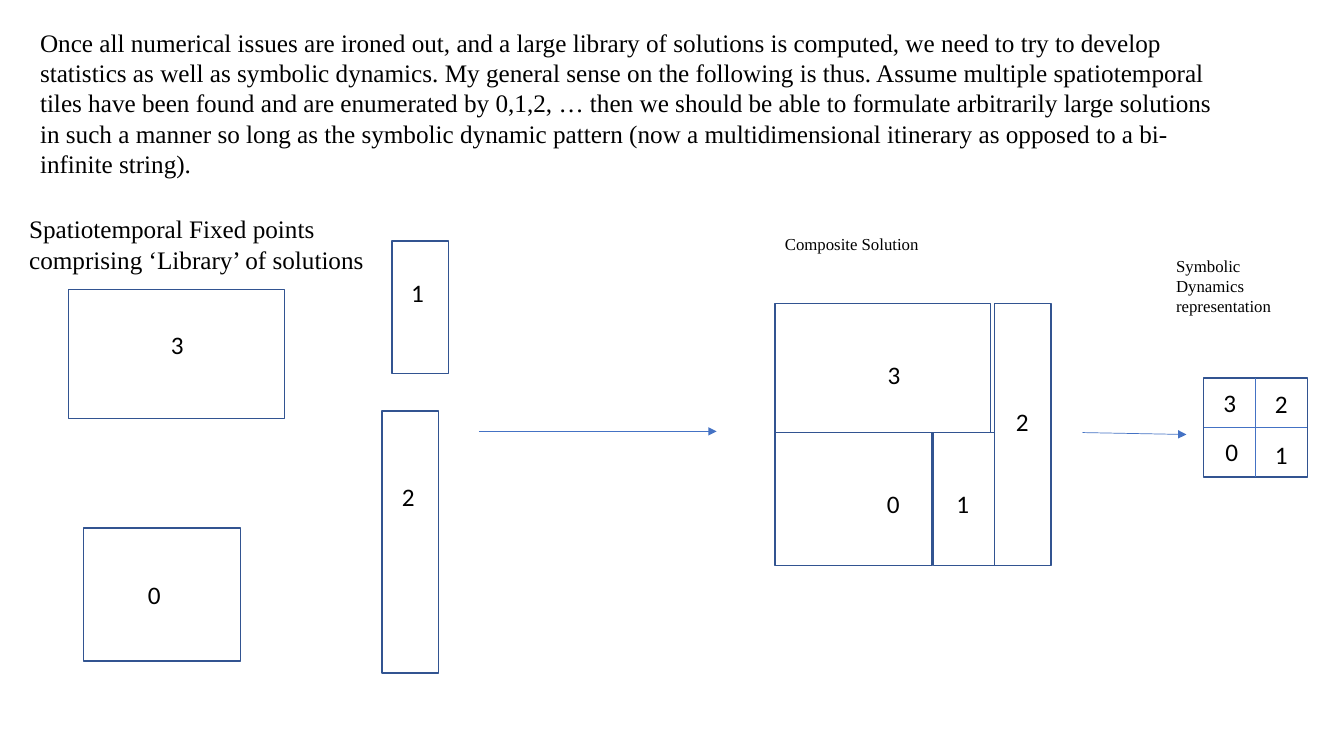
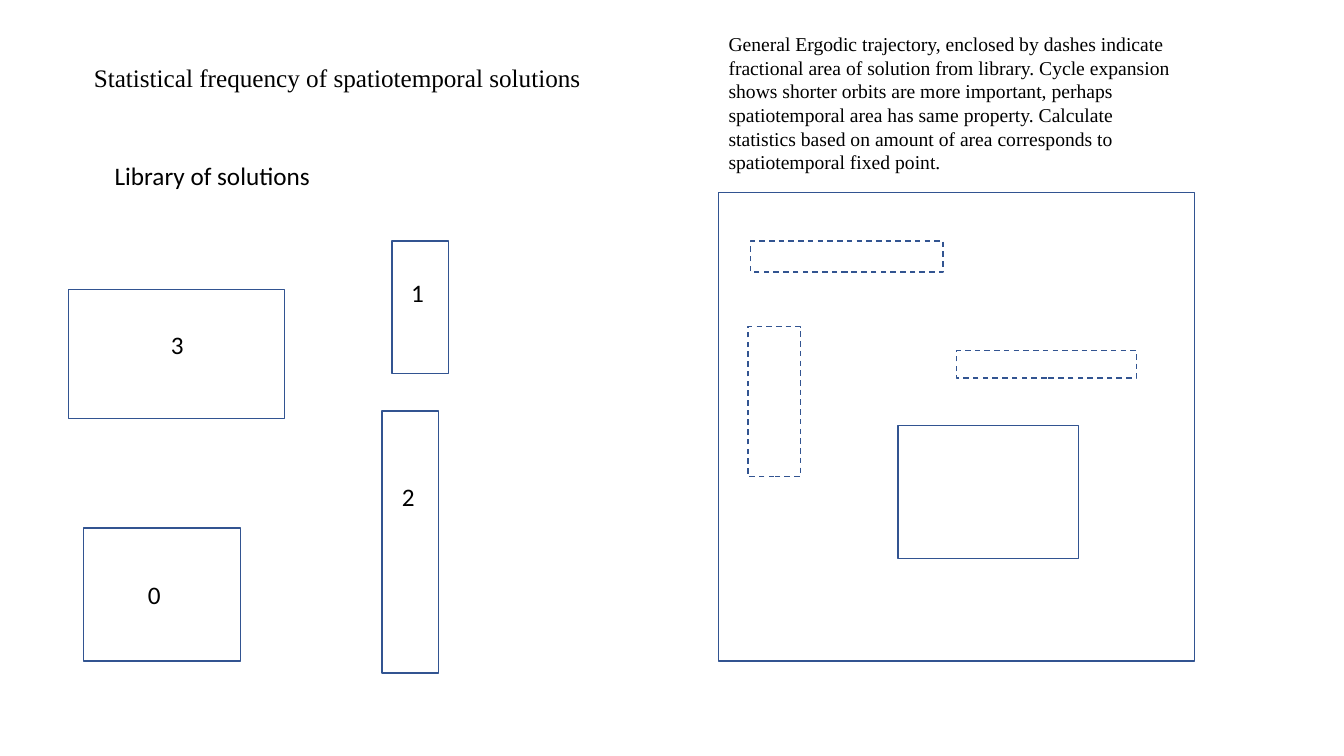
from lxml.etree import SubElement
from pptx import Presentation
from pptx.dml.color import RGBColor
from pptx.enum.dml import MSO_LINE
from pptx.enum.shapes import MSO_CONNECTOR, MSO_SHAPE
from pptx.enum.text import MSO_ANCHOR, MSO_AUTO_SIZE, PP_ALIGN
from pptx.oxml.ns import qn
from pptx.util import Cm, Pt

BLACK = RGBColor(0x00, 0x00, 0x00)
WHITE = RGBColor(0xFF, 0xFF, 0xFF)
EDGE = RGBColor(0x32, 0x54, 0x91)
ARROW = RGBColor(0x44, 0x72, 0xC4)
SERIF, SANS = "Times New Roman", "Calibri"

# Content: boxes are left, top, width, height in cm
INTRO = (
    "Once all numerical issues are ironed out, and a large library of solutions is "
    "computed, we need to try to develop statistics as well as symbolic dynamics. "
    "My general sense on the following is thus. Assume multiple spatiotemporal tiles "
    "have been found and are enumerated by 0,1,2, … then we should be able to "
    "formulate arbitrarily large solutions in such a manner so long as the symbolic "
    "dynamic pattern (now a multidimensional itinerary as opposed to a bi-infinite "
    "string)."
)
LIBRARY_TITLE = "Spatiotemporal Fixed points comprising ‘Library’ of solutions"
STATS_TITLE = "Statistical frequency of spatiotemporal solutions"
ERGODIC = (
    "General Ergodic trajectory, enclosed by dashes indicate fractional area of "
    "solution from library. Cycle expansion shows shorter orbits are more important, "
    "perhaps spatiotemporal area has same property. Calculate statistics based on "
    "amount of area corresponds to spatiotemporal fixed point."
)

SIZES = {"0": (3.96, 3.35), "1": (1.42, 3.35), "2": (1.42, 6.6), "3": (5.44, 3.25)}
# Tile name, corner of the tile, corner of its label
LIBRARY = [
    ("3", (1.73, 7.29), (4.06, 8.18)),
    ("0", (2.11, 13.31), (3.48, 14.48)),
    ("1", (9.88, 6.07), (10.11, 6.86)),
    ("2", (9.63, 10.36), (9.88, 12.01)),
]
COMP_X, COMP_Y = 19.53, 7.65
COMP_RIGHT, COMP_MID = 25.07, COMP_Y + SIZES["3"][1]
TILE_1_X = 23.52
COMPOSITE = [
    ("3", (COMP_X, COMP_Y), (22.12, 8.92)),
    ("2", (COMP_RIGHT, COMP_Y), (25.35, 10.11)),
    ("0", (COMP_X, COMP_MID), (22.1, 12.17)),
    ("1", (TILE_1_X, COMP_MID), (23.85, 12.17)),
]
COMPOSITE_SIZES = {**SIZES, "1": (COMP_RIGHT - TILE_1_X, SIZES["1"][1])}

SYMBOL_GRID = (30.33, 9.53, 2.62, 2.49)
SYMBOLS = [("3", (30.58, 9.63)), ("2", (31.88, 9.65)),
           ("0", (30.63, 10.87)), ("1", (31.88, 10.95))]
ARROWS = [(12.07, 10.87, 18.06, 10.87), (27.28, 10.9, 29.9, 10.95)]

TRAJECTORY = (18.11, 4.85, 11.99, 11.81)
SOLID_AREA = (22.63, 10.72, 4.55, 3.35)
DASHED_AREAS = [(18.85, 8.23, 1.32, 3.78), (24.1, 8.84, 4.55, 0.69),
                (18.92, 6.07, 4.85, 0.79)]


def write(shape, text, font=SERIF, size=18):
    tf = shape.text_frame
    tf.word_wrap = True
    tf.auto_size = MSO_AUTO_SIZE.NONE
    tf.vertical_anchor = MSO_ANCHOR.TOP
    p = tf.paragraphs[0]
    p.alignment = PP_ALIGN.LEFT
    r = p.add_run()
    r.text = text
    r.font.name, r.font.size = font, Pt(size)
    r.font.color.rgb = BLACK


def add_text(s, box, text, **fmt):
    write(s.shapes.add_textbox(*map(Cm, box)), text, **fmt)


def set_title(s, box, text):
    title = s.shapes.title
    title.left, title.top, title.width, title.height = map(Cm, box)
    write(title, text)


def add_rect(s, box, fill=None, dash=None):
    sp = s.shapes.add_shape(MSO_SHAPE.RECTANGLE, *map(Cm, box))
    sp.shadow.inherit = False
    if fill is None:
        sp.fill.background()
    else:
        sp.fill.solid()
        sp.fill.fore_color.rgb = fill
    sp.line.color.rgb = EDGE
    sp.line.width = Pt(1)
    if dash:
        sp.line.dash_style = dash
    return sp


def add_line(s, ends, arrow=False):
    c = s.shapes.add_connector(MSO_CONNECTOR.STRAIGHT, *map(Cm, ends))
    c.line.color.rgb = ARROW
    c.line.width = Pt(0.5)
    if arrow:
        SubElement(c.line._get_or_add_ln(), qn("a:tailEnd"), type="triangle")
    SubElement(c._element.spPr, qn("a:effectLst"))
    return c


def add_label(s, corner, name):
    add_text(s, (*corner, 0.91, 1.02), name, font=SANS)


def add_tiles(s, tiles, sizes):
    for name, corner, label in tiles:
        add_rect(s, (*corner, *sizes[name]))
        add_label(s, label, name)


def build_symbolic(s):
    add_text(s, (0.76, 0.56, 30.68, 4.11), INTRO)
    set_title(s, (0.48, 5.26, 9.5, 1.8), LIBRARY_TITLE)
    add_tiles(s, LIBRARY, SIZES)
    add_tiles(s, COMPOSITE, COMPOSITE_SIZES)
    for ends in ARROWS:
        add_line(s, ends, arrow=True)

    # Two by two grid of symbols
    grid = add_rect(s, SYMBOL_GRID)
    x, y, w, h = SYMBOL_GRID
    dividers = [(0, 2, (x + w / 2, y, x + w / 2, y + h)),
                (1, 3, (x, y + h / 2, x + w, y + h / 2))]
    for start, end, ends in dividers:
        c = add_line(s, ends)
        c.begin_connect(grid, start)
        c.end_connect(grid, end)
    for name, corner in SYMBOLS:
        add_label(s, corner, name)

    add_text(s, (19.53, 5.77, 6.27, 0.76), "Composite Solution", size=12)
    add_text(s, (29.39, 6.32, 3.35, 1.8), "Symbolic Dynamics representation", size=12)


def build_statistics(s):
    set_title(s, (2.11, 1.45, 13.4, 1.02), STATS_TITLE)
    add_text(s, (2.64, 3.91, 9.37, 1.02), "Library of solutions", font=SANS)
    add_tiles(s, LIBRARY, SIZES)

    # Trajectory with the areas found in it
    add_text(s, (18.11, 0.69, 11.99, 3.84), ERGODIC, size=14)
    add_rect(s, TRAJECTORY)
    add_rect(s, SOLID_AREA, fill=WHITE)
    for box in DASHED_AREAS:
        add_rect(s, box, fill=WHITE, dash=MSO_LINE.DASH)


def main():
    prs = Presentation()
    prs.slide_width, prs.slide_height = Cm(33.87), Cm(19.05)
    title_only = prs.slide_layouts[5]
    for build in (build_symbolic, build_statistics):
        build(prs.slides.add_slide(title_only))
    prs.save("out.pptx")


if __name__ == "__main__":
    main()
